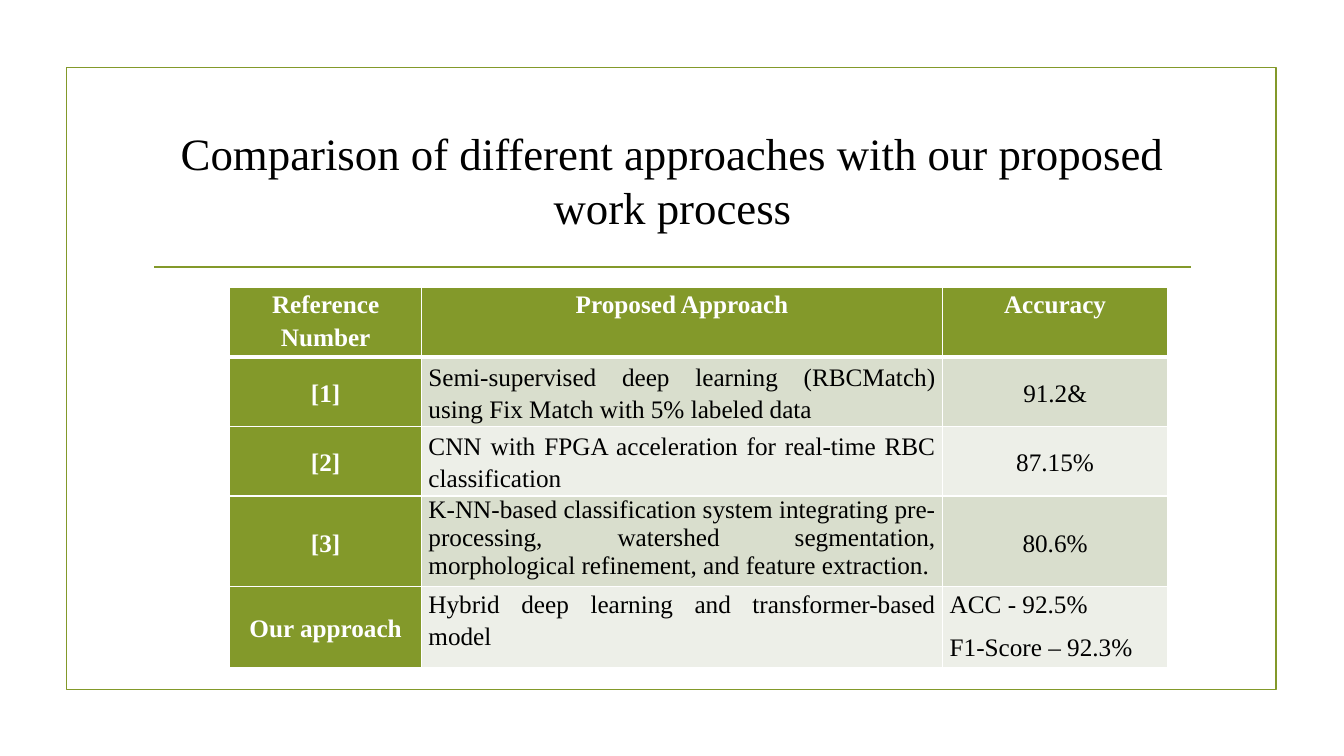
from lxml import etree
from pptx import Presentation
from pptx.dml.color import RGBColor
from pptx.enum.shapes import MSO_CONNECTOR, MSO_SHAPE
from pptx.enum.text import MSO_ANCHOR, PP_ALIGN
from pptx.oxml.ns import qn
from pptx.util import Pt

LEFT, CENTER, JUSTIFY = PP_ALIGN.LEFT, PP_ALIGN.CENTER, PP_ALIGN.JUSTIFY
TOP, MIDDLE = MSO_ANCHOR.TOP, MSO_ANCHOR.MIDDLE

TITLE = "Comparison of different approaches with our proposed work process"
HEADER = ("Reference Number", "Proposed Approach", "Accuracy")
APPROACHES = [
    ("[1]", "Semi-supervised deep learning (RBCMatch) using Fix Match with 5% labeled data", "91.2&"),
    ("[2]", "CNN with FPGA acceleration for real-time RBC classification", "87.15%"),
    ("[3]", "K-NN-based classification system integrating pre-processing, watershed "
            "segmentation, morphological refinement, and feature extraction.", "80.6%"),
    ("Our approach", "Hybrid deep learning and transformer-based model",
     "ACC - 92.5%\nF1-Score – 92.3%"),
]

PX = 9144  # EMU per px, 100 px to the inch
SLIDE = (1333, 750)
FRAME = (66, 67, 1200, 617)
RULE = (153, 265, 1181, 265)
TITLE_BOX = (142, 107, 1050, 143)
TABLE_LEFT, TABLE_TOP = 228, 285
COLUMNS = (190, 517, 223)
ROWS = (43, 43, 43, 64, 55)
CELL_INSET = 7

FONT = "Times New Roman"
COLORS = {"olive": "83992A", "odd": "D9DECD", "even": "EDEFE8",
          "white": "FFFFFF", "black": "000000"}
BODY_SPACING = {"line_spacing": 1.15, "space_after": Pt(8)}
TIGHT_SPACING = {"line_spacing": 1.0, "space_after": Pt(0)}
TIGHT_ROW, LAST_ROW = 3, len(APPROACHES)


def emu(lengths):
    return [length * PX for length in lengths]


def rgb(name):
    return RGBColor.from_string(COLORS[name])


def write(frame, text, size, color, align, bold=False, spacing=TIGHT_SPACING):
    """Fill a text frame, one paragraph for each line of text."""
    frame.text = text
    for paragraph in frame.paragraphs:
        paragraph.alignment = align
        for name, value in spacing.items():
            setattr(paragraph, name, value)
        font = paragraph.runs[0].font
        for name, value in {"name": FONT, "size": Pt(size), "bold": bold}.items():
            setattr(font, name, value)
        font.color.rgb = rgb(color)


def add_borders(cell, row):
    """White cell borders, thick between the header and the first row."""
    widths = {"lnL": 1, "lnR": 1, "lnT": 3 if row == 1 else 1, "lnB": 3 if row == 0 else 1}
    properties = cell._tc.get_or_add_tcPr()
    for side, width in widths.items():
        border = etree.SubElement(properties, qn(f"a:{side}"), w=str(Pt(width)))
        fill = etree.SubElement(border, qn("a:solidFill"))
        etree.SubElement(fill, qn("a:srgbClr"), val=COLORS["white"])


def cell_layout(row, column):
    """Alignment, anchor and spacing of a cell."""
    anchor = TOP if row == 0 else MIDDLE
    align, spacing = CENTER, BODY_SPACING
    if row > 0 and column == 1:
        align = JUSTIFY
        if row >= TIGHT_ROW:
            anchor = TOP
        if row == TIGHT_ROW:
            spacing = TIGHT_SPACING
    elif row == LAST_ROW and column == 2:
        align, anchor = LEFT, TOP
    return align, anchor, spacing


def add_comparison(slide):
    area = emu((TABLE_LEFT, TABLE_TOP, sum(COLUMNS), sum(ROWS)))
    table = slide.shapes.add_table(len(ROWS), len(COLUMNS), *area).table
    for column, width in zip(table.columns, emu(COLUMNS)):
        column.width = width
    for row, height in zip(table.rows, emu(ROWS)):
        row.height = height
    for r, texts in enumerate([HEADER, *APPROACHES]):
        for c, text in enumerate(texts):
            cell = table.cell(r, c)
            heading = r == 0 or c == 0
            align, anchor, spacing = cell_layout(r, c)
            margins = {"margin_left": CELL_INSET * PX, "margin_right": CELL_INSET * PX,
                       "margin_top": 0, "margin_bottom": 0}
            for name, value in {**margins, "vertical_anchor": anchor}.items():
                setattr(cell, name, value)
            add_borders(cell, r)
            cell.fill.solid()
            cell.fill.fore_color.rgb = rgb("olive" if heading else "odd" if r % 2 else "even")
            write(cell.text_frame, text, 18, "white" if heading else "black",
                  align, heading, spacing)


def main():
    deck = Presentation()
    deck.slide_width, deck.slide_height = emu(SLIDE)
    slide = deck.slides.add_slide(deck.slide_layouts[6])

    frame = slide.shapes.add_shape(MSO_SHAPE.RECTANGLE, *emu(FRAME))
    frame.shadow.inherit = False
    frame.fill.background()
    rule = slide.shapes.add_connector(MSO_CONNECTOR.STRAIGHT, *emu(RULE))
    etree.SubElement(rule._element.spPr, qn("a:effectLst"))
    for outlined in (frame, rule):
        outlined.line.color.rgb = rgb("olive")
        outlined.line.width = Pt(1.25)

    title = slide.shapes.add_textbox(*emu(TITLE_BOX)).text_frame
    title.word_wrap = True
    title.vertical_anchor = MIDDLE
    write(title, TITLE, 32, "black", CENTER)

    add_comparison(slide)
    deck.save("out.pptx")


if __name__ == "__main__":
    main()
